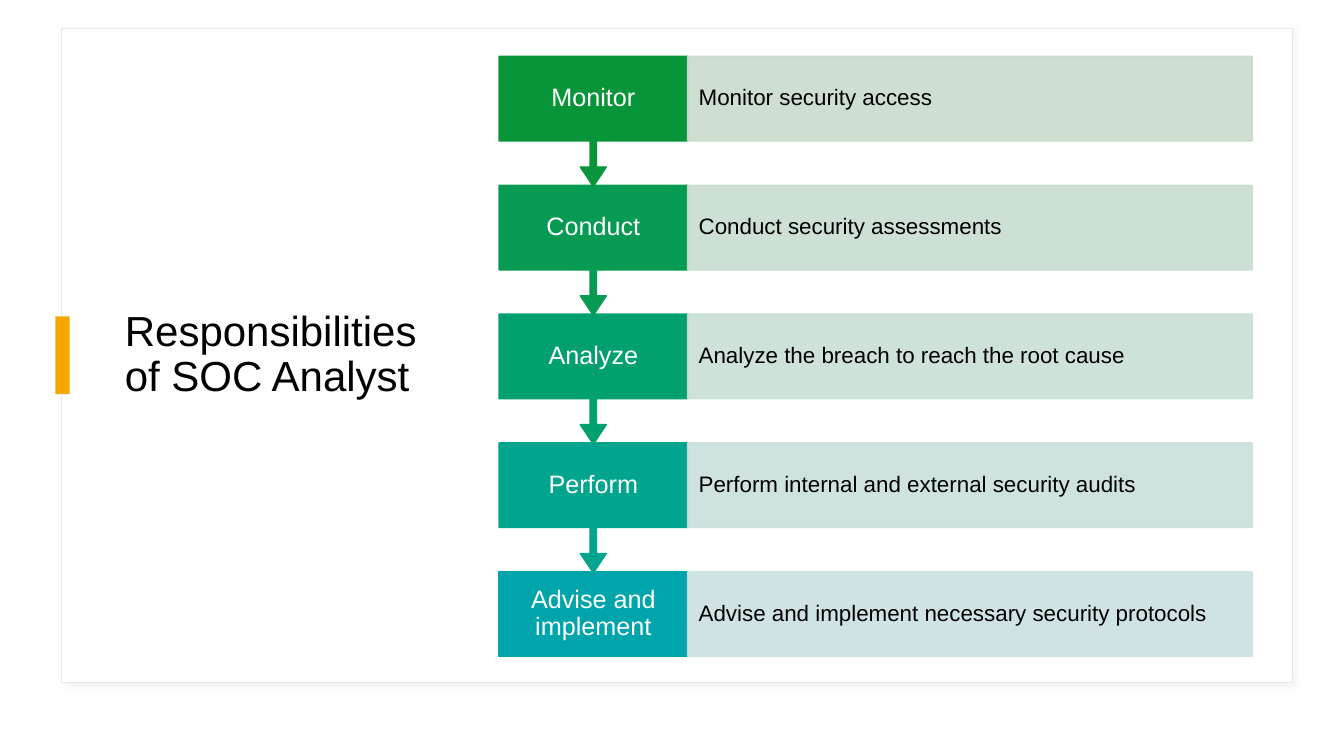
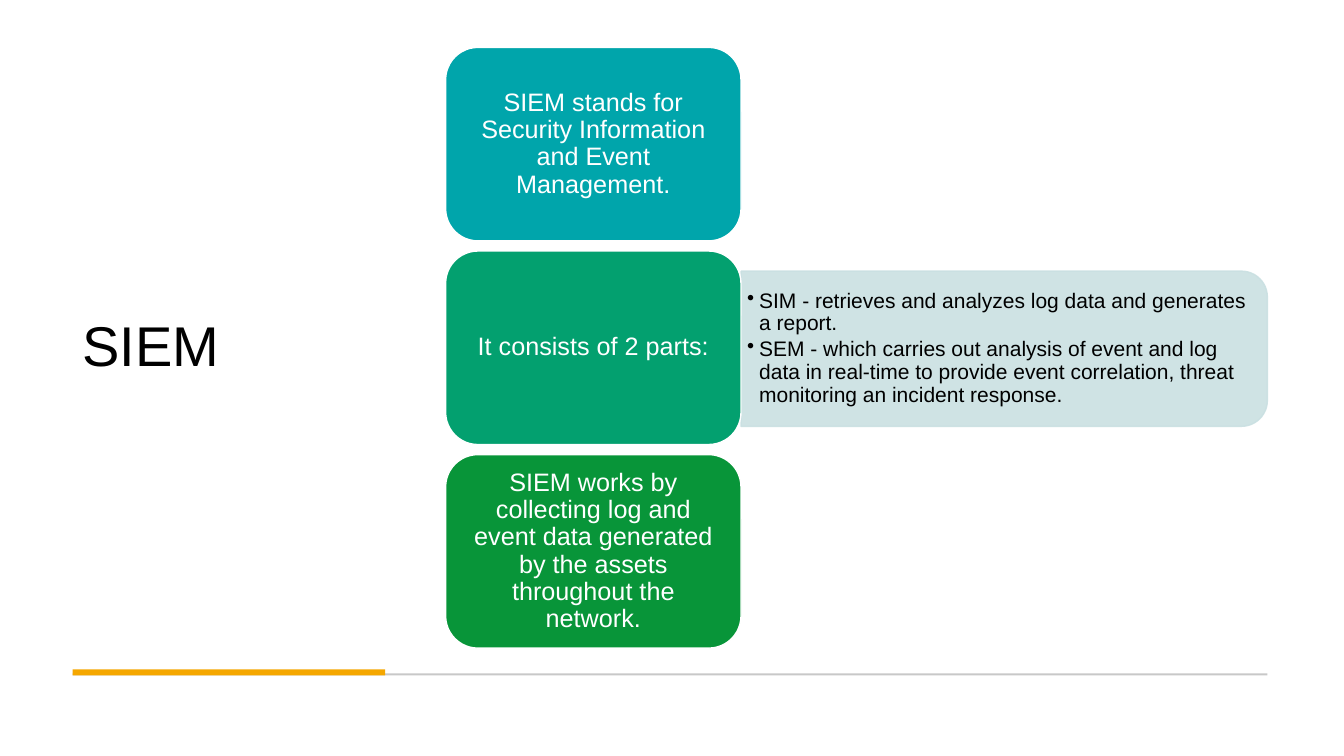
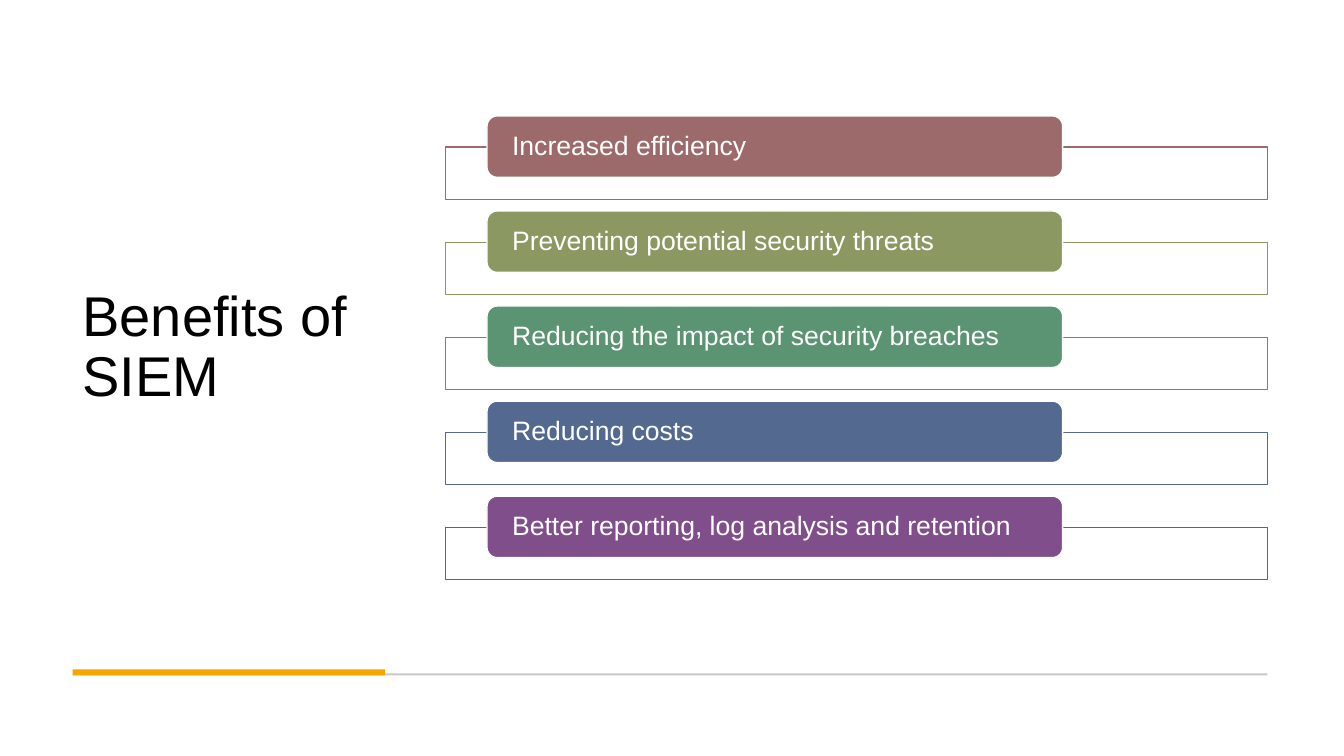
from lxml.etree import SubElement
from pptx import Presentation
from pptx.dml.color import RGBColor
from pptx.enum.shapes import MSO_SHAPE as Kind
from pptx.enum.text import MSO_ANCHOR, PP_ALIGN
from pptx.oxml.ns import qn
from pptx.util import Inches, Pt


class Theme:
    font = "Arial"
    black, white = "000000", "FFFFFF"
    gold, rule = "F5A700", "C8C8C8"
    edge, shade = "E8E8E8", "D8D8D8"
    teal, sea, jade, leaf, green = "00A5AB", "01A58E", "03A06F", "069A53", "089539"
    mist = "CAE0E2"
    pales = ["C9DBCB", "C9DDD0", "C9DFD5", "C9E0DC", mist]
    bars = ["9C6A6A", "8C9861", "5B9472", "546990", "804E8B"]
    head, title, bar, label, body, note = 40, 30, 19, 18, 16, 15
    round = 0.167


def draw(slide, kind, at, fill, line=None, adj=(), alpha=None):
    shape = slide.shapes.add_shape(kind, *map(Inches, at))
    shape.shadow.inherit = False
    for i, value in enumerate(adj):
        shape.adjustments[i] = value
    shape.fill.solid()
    shape.fill.fore_color.rgb = RGBColor.from_string(fill)
    if line:
        shape.line.color.rgb = RGBColor.from_string(line)
        shape.line.width = Pt(1)
    else:
        shape.line.fill.background()
    if alpha:
        for tint in list(shape._element.spPr.iter(qn("a:srgbClr"))):
            SubElement(tint, qn("a:alpha"), val=str(alpha * 1000))
    return shape


def write(shape, lines, size, color, pad, align=PP_ALIGN.LEFT, bullet=False):
    frame = shape.text_frame
    frame.word_wrap = True
    frame.vertical_anchor = MSO_ANCHOR.MIDDLE
    frame.margin_left = frame.margin_right = Inches(pad[0])
    frame.margin_top = frame.margin_bottom = Inches(pad[1])
    for i, line in enumerate(lines):
        para = frame.add_paragraph() if i else frame.paragraphs[0]
        para.text = line
        para.alignment = align
        para.line_spacing = 0.9
        if bullet:
            props = para._p.get_or_add_pPr()
            props.set("marL", str(Inches(0.12)))
            props.set("indent", str(-Inches(0.12)))
            tint = SubElement(props, qn("a:buClr"))
            SubElement(tint, qn("a:srgbClr"), val=color)
            SubElement(props, qn("a:buChar"), char="•")
        if i:
            para.space_before = Pt(2.2)
        para.font.name = Theme.font
        para.font.size = Pt(size)
        para.font.color.rgb = RGBColor.from_string(color)


deck = Presentation()
deck.slide_width, deck.slide_height = Inches(13.33), Inches(7.5)
blank = deck.slide_layouts[6]
duties, siem, gains = [deck.slides.add_slide(blank) for _ in range(3)]

card = draw(duties, Kind.RECTANGLE, (0.61, 0.28, 12.21, 6.49), Theme.white, Theme.edge)
cast = SubElement(card._element.spPr.find(qn("a:effectLst")), qn("a:outerShdw"),
                  blurRad=str(Pt(4)), dist=str(Pt(3)), dir="2700000")
tint = SubElement(cast, qn("a:srgbClr"), val=Theme.shade)
SubElement(tint, qn("a:alpha"), val="30000")

for slide, text, size, at in [
    (duties, "Responsibilities of SOC Analyst", Theme.title, (1.14, 0.55, 3.27, 5.95)),
    (siem, "SIEM", Theme.head, (0.72, 0.47, 3.1, 5.97)),
    (gains, "Benefits of SIEM", Theme.head, (0.72, 0.47, 3.1, 5.97)),
]:
    title = slide.shapes.add_textbox(*map(Inches, at))
    write(title, [text], size, Theme.black, (0.1, 0.05))

draw(duties, Kind.RECTANGLE, (0.55, 3.14, 0.14, 0.77), Theme.gold)
for slide in (siem, gains):
    draw(slide, Kind.RECTANGLE, (0.72, 6.68, 11.85, 0.02), Theme.rule)
    draw(slide, Kind.RECTANGLE, (0.72, 6.64, 3.1, 0.06), Theme.gold)

steps = [
    ("Monitor", "Monitor security access", Theme.green),
    ("Conduct", "Conduct security assessments", Theme.leaf),
    ("Analyze", "Analyze the breach to reach the root cause", Theme.jade),
    ("Perform", "Perform internal and external security audits", Theme.sea),
    ("Advise and implement", "Advise and implement necessary security protocols", Theme.teal),
]
for i, (name, text, color) in reversed(list(enumerate(steps))):
    top = 0.56 + i * 1.278
    if i == len(steps) - 1:
        step = draw(duties, Kind.RECTANGLE, (4.95, top, 1.87, 0.84), color, color)
    else:
        step = draw(duties, Kind.DOWN_ARROW_CALLOUT, (4.95, top, 1.87, 1.29),
                    color, color, (0.05, 0.1, 0.15, 0.65))
    write(step, [name], Theme.label, Theme.white, (0.13, 0.14), PP_ALIGN.CENTER)
    band = draw(duties, Kind.RECTANGLE, (6.82, top, 5.6, 0.84),
                Theme.pales[i], Theme.pales[i], alpha=90)
    write(band, [text], Theme.body, Theme.black, (0.11, 0.22))

panel = draw(siem, Kind.ROUND_2_SAME_RECTANGLE, (9.19, 0.85, 1.54, 5.22),
             Theme.mist, Theme.mist, (Theme.round, 0), 90)
panel.rotation = 90
parts = siem.shapes.add_textbox(*map(Inches, (7.35, 2.76, 5.14, 1.39)))
write(parts, [
    "SIM - retrieves and analyzes log data and generates a report.",
    "SEM - which carries out analysis of event and log data in real-time "
    "to provide event correlation, threat monitoring an incident response.",
], Theme.note, Theme.black, (0.06, 0.03), bullet=True)

facts = [
    ("SIEM stands for Security Information and Event Management.", Theme.teal),
    ("It consists of 2 parts:", Theme.jade),
    ("SIEM works by collecting log and event data generated by the assets "
     "throughout the network.", Theme.green),
]
for i, (text, color) in enumerate(facts):
    fact = draw(siem, Kind.ROUNDED_RECTANGLE, (4.42, 0.47 + i * 2.02, 2.93, 1.92),
                color, Theme.white, [Theme.round])
    write(fact, [text], Theme.label, Theme.white, (0.07, 0.04), PP_ALIGN.CENTER)

perks = [
    "Increased efficiency",
    "Preventing potential security threats",
    "Reducing the impact of security breaches",
    "Reducing costs",
    "Better reporting, log analysis and retention",
]
for i, (text, color) in enumerate(zip(perks, Theme.bars)):
    top = 1.15 + i * 0.943
    draw(gains, Kind.RECTANGLE, (4.42, top + 0.31, 8.15, 0.52), Theme.white, color)
    perk = draw(gains, Kind.ROUNDED_RECTANGLE, (4.83, top, 5.71, 0.61),
                color, Theme.white, [Theme.round])
    write(perk, [text], Theme.bar, Theme.white, (0.22, 0))

deck.save("out.pptx")
